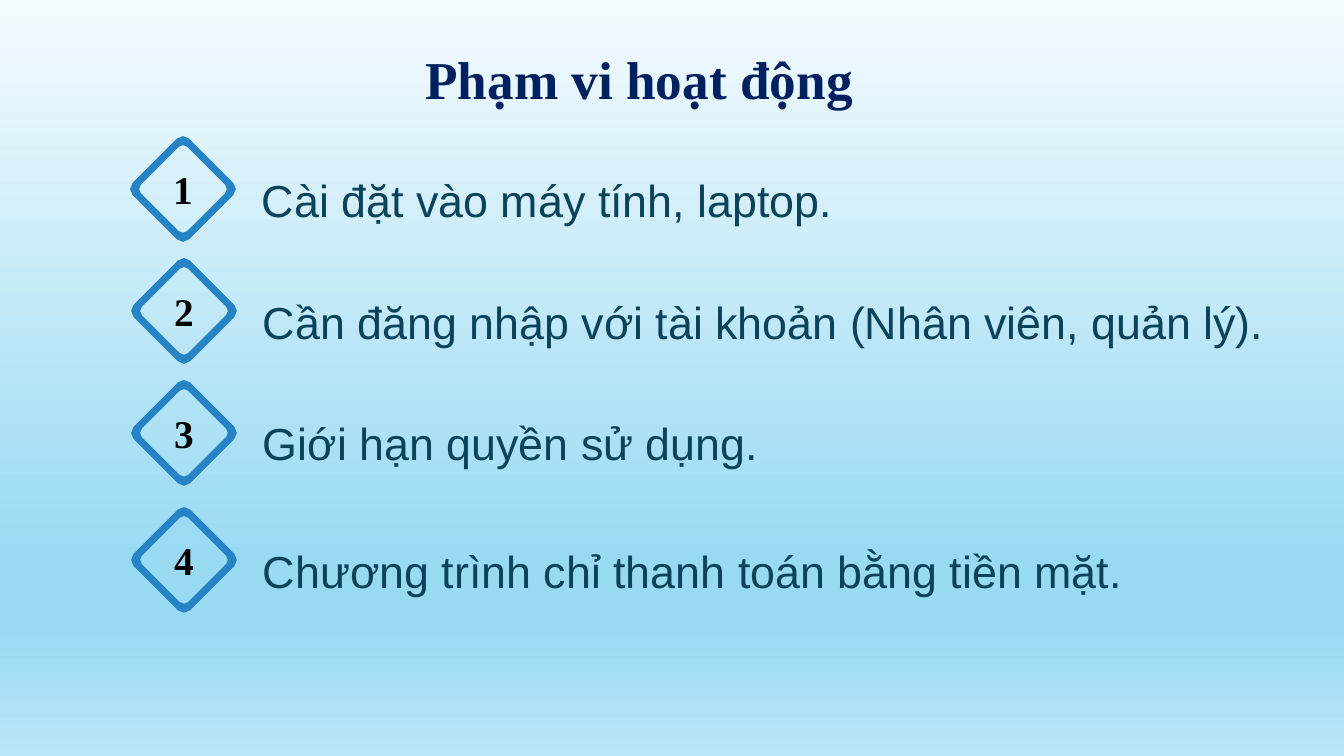
from math import cos, pi, sin, sqrt

from lxml.etree import SubElement
from pptx import Presentation
from pptx.dml.color import RGBColor
from pptx.enum.text import MSO_ANCHOR, MSO_AUTO_SIZE, PP_ALIGN
from pptx.oxml.ns import qn
from pptx.util import Inches, Pt

BACKGROUND_STOPS = [(0, "F4FBFE"), (74, "99DAF3"), (83, "99DAF3"), (100, "BBE6F7")]
ITEMS = [
    (1.29, 1.35, 9.12, "Cài đặt vào máy tính, laptop."),
    (1.3, 2.56, 10.36, "Cần đăng nhập với tài khoản (Nhân viên, quản lý)."),
    (1.3, 3.77, 8.4, "Giới hạn quyền sử dụng."),
    (1.3, 5.03, 10.07, "Chương trình chỉ thanh toán bằng tiền mặt."),
]
BADGE_SIZE = 1.05


def color(hex_string):
    return RGBColor.from_string(hex_string)


def write_text(shape, text, size, font, hex_color, bold=False, align=PP_ALIGN.LEFT,
               anchor=MSO_ANCHOR.TOP, side_inset=0.1, line_spacing=None,
               auto_size=MSO_AUTO_SIZE.SHAPE_TO_FIT_TEXT):
    frame = shape.text_frame
    frame.word_wrap = True
    frame.auto_size = auto_size
    frame.vertical_anchor = anchor
    frame.margin_left = frame.margin_right = Inches(side_inset)
    frame.margin_top = frame.margin_bottom = Inches(0.05)
    paragraph = frame.paragraphs[0]
    paragraph.alignment = align
    paragraph.line_spacing = line_spacing
    run = paragraph.add_run()
    run.text = text
    run.font.size = Pt(size)
    run.font.name = font
    run.font.bold = bold
    run.font.color.rgb = color(hex_color)


def rounded_diamond(center_x, center_y, reach, radius, steps=2):
    points = []
    arc_distance = reach - radius * sqrt(2)
    for corner in range(4):
        axis = corner * pi / 2
        for step in range(steps + 1):
            angle = axis - pi / 4 + step * pi / 2 / steps
            x = center_x + arc_distance * cos(axis) + radius * cos(angle)
            y = center_y + arc_distance * sin(axis) + radius * sin(angle)
            points.append((Inches(x), Inches(y)))
    return points


class SlideBuilder:
    heading_font = "Times New Roman"
    body_font = "Arial"
    title_color = "002060"
    body_color = "0A435A"
    number_color = "000000"
    badge_color = "2683C6"

    def __init__(self, presentation):
        self.slide = presentation.slides.add_slide(presentation.slide_layouts[5])

    def background(self, stops):
        fill = self.slide.background.fill
        fill.gradient()
        fill.gradient_angle = 270
        stop_list = next(self.slide.element.iter(qn("a:gsLst")))
        for stop in list(stop_list):
            stop_list.remove(stop)
        for percent, hex_color in stops:
            stop = SubElement(stop_list, qn("a:gs"), pos=str(percent * 1000))
            SubElement(stop, qn("a:srgbClr"), val=hex_color)

    def title(self, text, left, top, width, height):
        shape = self.slide.shapes.title
        shape.left, shape.top = Inches(left), Inches(top)
        shape.width, shape.height = Inches(width), Inches(height)
        write_text(shape, text, 38, self.heading_font, self.title_color, bold=True,
                   align=PP_ALIGN.CENTER, anchor=MSO_ANCHOR.BOTTOM, line_spacing=0.9,
                   auto_size=MSO_AUTO_SIZE.NONE)

    def text_box(self, shapes, text, left, top, width, height, **text_format):
        shape = shapes.add_textbox(Inches(left), Inches(top), Inches(width), Inches(height))
        write_text(shape, text, **text_format)

    def diamond_frame(self, shapes, left, top):
        center = (left + BADGE_SIZE / 2, top + BADGE_SIZE / 2)
        outer = rounded_diamond(*center, reach=0.56, radius=0.085)
        inner = rounded_diamond(*center, reach=0.46, radius=0.06)[::-1]
        builder = shapes.build_freeform(*outer[0])
        builder.add_line_segments(outer[1:], close=True)
        builder.move_to(*inner[0])
        builder.add_line_segments(inner[1:], close=True)
        shape = builder.convert_to_shape()
        shape.shadow.inherit = False
        shape.fill.solid()
        shape.fill.fore_color.rgb = color(self.badge_color)
        shape.line.fill.background()

    def numbered_item(self, number, text, left, top, text_width):
        shapes = self.slide.shapes.add_group_shape().shapes
        self.text_box(shapes, text, left + 1.21, top + 0.31, text_width, 0.64,
                      size=32, font=self.body_font, hex_color=self.body_color)
        self.text_box(shapes, str(number), left, top + 0.24, BADGE_SIZE, 0.57,
                      size=28, font=self.heading_font, hex_color=self.number_color,
                      bold=True, align=PP_ALIGN.CENTER, side_inset=0.12)
        self.diamond_frame(shapes, left, top)


presentation = Presentation()
presentation.slide_width = Inches(13.33)
presentation.slide_height = Inches(7.5)

builder = SlideBuilder(presentation)
builder.background(BACKGROUND_STOPS)
builder.title("Phạm vi hoạt động", 3.46, 0.4, 5.76, 0.75)
for number, (left, top, text_width, text) in enumerate(ITEMS, start=1):
    builder.numbered_item(number, text, left, top, text_width)

presentation.save("out.pptx")
